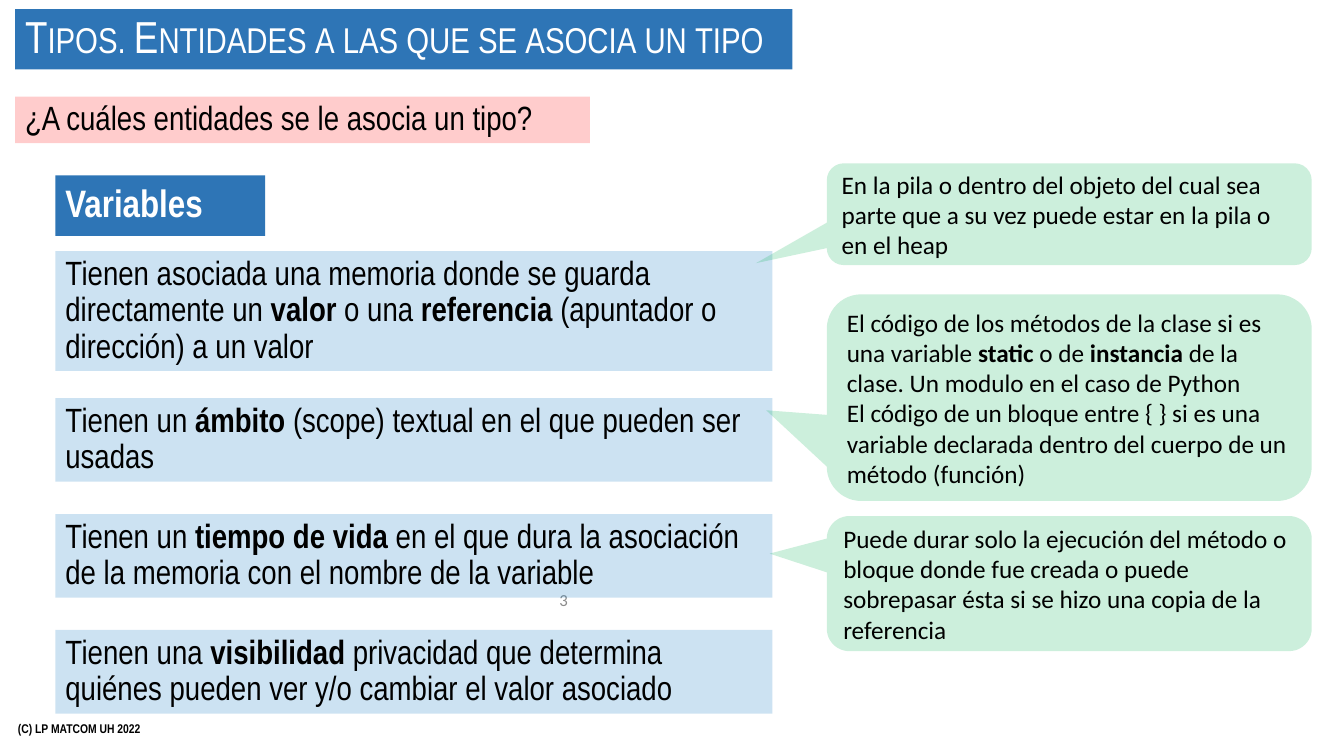
from lxml import etree
from pptx import Presentation
from pptx.dml.color import RGBColor
from pptx.enum import shapes, text
from pptx.oxml import ns
from pptx.util import Inches, Pt

COLORS = {
    "heading": "2E75B6",
    "question": "FF0000",
    "property": "0070C0",
    "callout": "00B050",
    "white": "FFFFFF",
    "black": "000000",
    "gray": "8C8C8C",
}
NARROW, BODY = "Arial Narrow", "Calibri"
TINT = 20

# top, height, text
PROPERTIES = [
    (2.49, 1.19, "Tienen asociada una memoria donde se guarda directamente un "
                 "**valor** o una **referencia **(apuntador o dirección) a un valor"),
    (3.95, 0.83, "Tienen un **ámbito** (scope) textual en el que pueden ser usadas"),
    (5.10, 0.83, "Tienen un **tiempo de vida **en el que dura la asociación "
                 "de la memoria con el nombre de la variable"),
    (6.25, 0.83, "Tienen una **visibilidad **privacidad que determina "
                 "quiénes pueden ver y/o cambiar el valor asociado"),
]

# top, height, pointer tip, paragraphs
CALLOUTS = [
    (2.92, 2.05, (-0.625, 0.061), [
        "El código de los métodos de la clase si es una variable** static **o de "
        "**instancia** de la clase. Un modulo en el caso de Python",
        "El código de un bloque entre { } si es una variable declarada "
        "dentro del cuerpo de un método (función)"]),
    (1.62, 1.01, (-0.646, 0.481), [
        "En la pila o dentro del objeto del cual sea parte que a su vez "
        "puede estar en la pila o en el heap"]),
    (5.12, 1.34, (-0.618, -0.222), [
        "Puede durar solo la ejecución del método o bloque donde fue creada o "
        "puede sobrepasar ésta si se hizo una copia de la referencia"]),
]


def write(sp, paragraphs, size, font, color="black", bold=False, small_caps=False,
          align=text.PP_ALIGN.LEFT, spacing=None):
    """Fill a shape with paragraphs; ** switches bold on and off."""
    tf = sp.text_frame
    tf.word_wrap = True
    tf.vertical_anchor = text.MSO_ANCHOR.MIDDLE
    for i, content in enumerate(paragraphs):
        p = tf.add_paragraph() if i else tf.paragraphs[0]
        p.alignment = align
        if spacing:
            p.line_spacing = spacing
        for j, part in enumerate(content.split("**")):
            if not part:
                continue
            r = p.add_run()
            r.text = part
            r.font.size = Pt(size)
            r.font.name = font
            r.font.bold = bold or j % 2 == 1
            r.font.color.rgb = RGBColor.from_string(COLORS[color])
            if small_caps:
                r._r.get_or_add_rPr().set("cap", "small")


def add_filled(s, kind, box, color, opacity=100):
    sp = s.shapes.add_shape(kind, *map(Inches, box))
    sp.shadow.inherit = False
    sp.line.fill.background()
    sp.fill.solid()
    sp.fill.fore_color.rgb = RGBColor.from_string(COLORS[color])
    if opacity < 100:
        clr = sp.fill._xPr.find(".//" + ns.qn("a:srgbClr"))
        etree.SubElement(clr, ns.qn("a:alpha")).set("val", str(opacity * 1000))
    return sp


def add_band(s, box, content, fill, size=24, opacity=100, **style):
    sp = add_filled(s, shapes.MSO_SHAPE.RECTANGLE, box, fill, opacity)
    write(sp, [content], size, NARROW, spacing=0.9, **style)


def add_callout(s, top, height, tip, paragraphs):
    sp = add_filled(s, shapes.MSO_SHAPE.ROUNDED_RECTANGULAR_CALLOUT,
                    (8.2, top, 4.81, height), "callout", TINT)
    sp.adjustments[0], sp.adjustments[1] = tip
    sp.adjustments[2] = 0.167
    write(sp, paragraphs, 18, BODY)


def add_label(s, box, content, size, font, **style):
    sp = s.shapes.add_textbox(*map(Inches, box))
    write(sp, [content], size, font, **style)


def main():
    prs = Presentation()
    prs.slide_width, prs.slide_height = Inches(13.33), Inches(7.5)
    s = prs.slides.add_slide(prs.slide_layouts[6])

    add_label(s, (0.08, 7.03, 4.5, 0.4), "(C) LP MATCOM UH 2022", 9, NARROW, bold=True)
    add_band(s, (0.15, 0.09, 7.71, 0.6), "Tipos. Entidades a las que se asocia un tipo",
             "heading", size=32, color="white", small_caps=True)
    add_label(s, (2.73, 5.75, 3, 0.4), "3", 12, BODY, color="gray",
              align=text.PP_ALIGN.RIGHT)
    add_band(s, (0.15, 0.96, 5.7, 0.46), "¿A cuáles entidades se le asocia un tipo?",
             "question", opacity=TINT)
    add_band(s, (0.55, 1.74, 2.08, 0.6), "Variables", "heading", size=27.3,
             color="white", bold=True)
    for top, height, content in PROPERTIES:
        add_band(s, (0.55, top, 7.11, height), content, "property", opacity=TINT)
    for callout in CALLOUTS:
        add_callout(s, *callout)

    prs.save("out.pptx")


if __name__ == "__main__":
    main()
